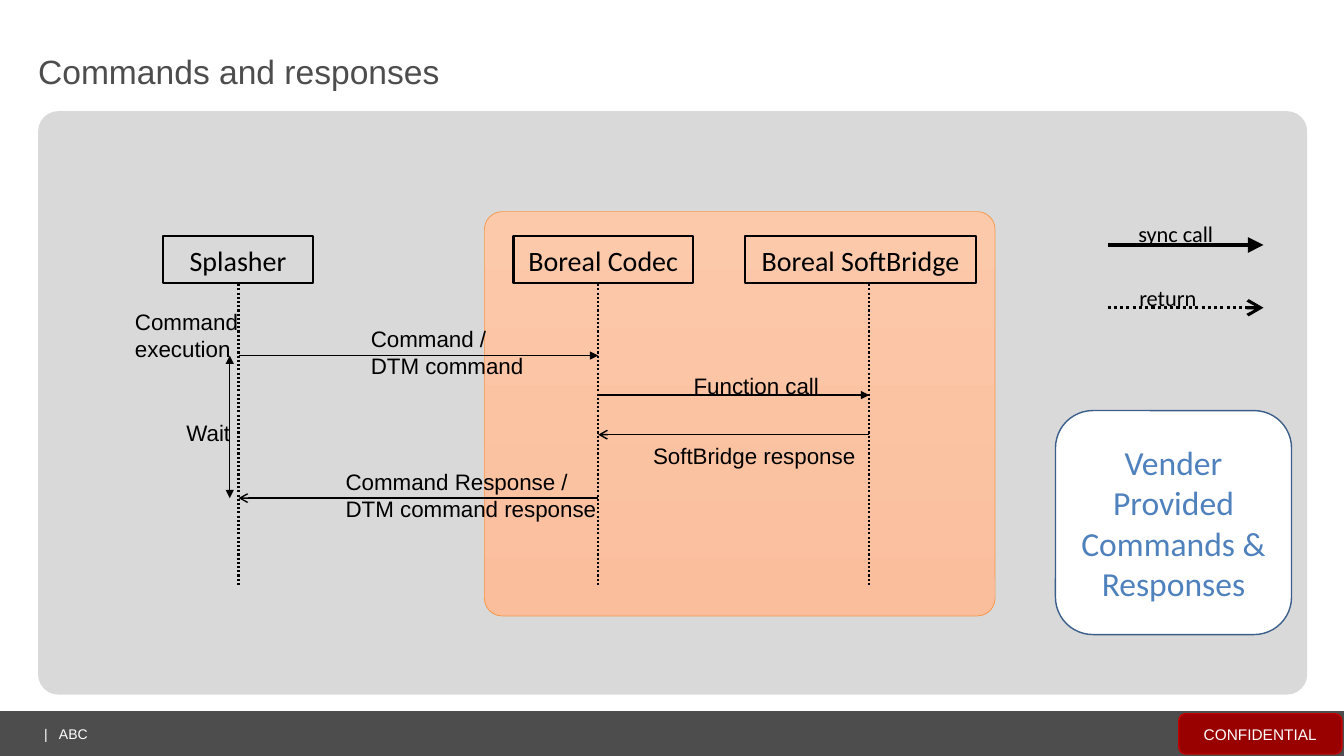
from lxml import etree
from pptx import Presentation
from pptx.dml.color import RGBColor
from pptx.enum.dml import MSO_LINE
from pptx.enum.shapes import MSO_CONNECTOR, MSO_SHAPE
from pptx.enum.text import MSO_ANCHOR, PP_ALIGN
from pptx.oxml.ns import qn
from pptx.util import Pt

RECT, ROUND = MSO_SHAPE.RECTANGLE, MSO_SHAPE.ROUNDED_RECTANGLE
STRAIGHT, DOTTED = MSO_CONNECTOR.STRAIGHT, MSO_LINE.ROUND_DOT
TOP, MIDDLE = MSO_ANCHOR.TOP, MSO_ANCHOR.MIDDLE
LEFT, CENTER = PP_ALIGN.LEFT, PP_ALIGN.CENTER

BLACK, WHITE, DARK, PANEL = "000000", "FFFFFF", "4D4D4D", "D9D9D9"
HOST_X, CODEC_X, DEVICE_X = 170.5, 427.5, 621.2
LIFELINE_TOP, LIFELINE_END = 203, 418.3
COMMAND_Y, CALL_Y, RETURN_Y, RESPONSE_Y = 254, 282.2, 310.5, 355.8
WAIT_X = 164.2


def rgb(value):
    return RGBColor.from_string(value)


def write(shape, lines, size, color, font="Arial", align=LEFT, anchor=TOP,
          inset=(0, 0), wrap=True):
    tf = shape.text_frame
    tf.word_wrap = wrap
    tf.vertical_anchor = anchor
    tf.margin_left = tf.margin_right = Pt(inset[0])
    tf.margin_top = tf.margin_bottom = Pt(inset[1])
    tf.text = "\n".join(lines)
    for p in tf.paragraphs:
        p.alignment = align
        p.font.size = Pt(size)
        p.font.name = font
        p.font.color.rgb = rgb(color)


def add_box(s, kind, box, fill=None, line=None, width=1, radius=None):
    """Add a rectangle; fill is None, one colour, or a (top, bottom) pair."""
    sp = s.shapes.add_shape(kind, *map(Pt, box))
    sp.shadow.inherit = False
    if radius is not None:
        sp.adjustments[0] = radius
    if fill is None:
        sp.fill.background()
    elif isinstance(fill, tuple):
        sp.fill.gradient()
        sp.fill.gradient_angle = 270
        for stop, color in zip(sp.fill.gradient_stops, fill):
            stop.color.rgb = rgb(color)
    else:
        sp.fill.solid()
        sp.fill.fore_color.rgb = rgb(fill)
    if line:
        sp.line.color.rgb = rgb(line)
        sp.line.width = Pt(width)
    else:
        sp.line.fill.background()
    return sp


def add_label(s, box, *lines, size=16, color=BLACK, **style):
    sp = s.shapes.add_textbox(*map(Pt, box))
    write(sp, lines, size, color, **style)
    return sp


def add_line(s, start, end, width=1, dash=None, head=None, tail=None, head_size="med"):
    c = s.shapes.add_connector(STRAIGHT, *map(Pt, start + end))
    c.line.color.rgb = rgb(BLACK)
    c.line.width = Pt(width)
    if dash:
        c.line.dash_style = dash
    ln = c.line._get_or_add_ln()
    for tag, kind in (("a:headEnd", head), ("a:tailEnd", tail)):
        if kind:
            etree.SubElement(ln, qn(tag), type=kind, w=head_size, len=head_size)
    etree.SubElement(c._element.spPr, qn("a:effectLst"))


def add_tab_stop(p, position):
    tabs = etree.Element(qn("a:tabLst"))
    etree.SubElement(tabs, qn("a:tab"), pos=str(Pt(position)), algn="l")
    p._p.get_or_add_pPr().insert(0, tabs)


def add_frame(s):
    """Add the title, the grey panel and the footer."""
    title = s.shapes.title
    title.left, title.top, title.width, title.height = map(Pt, (27.2, 22.3, 907, 57))
    write(title, ["Commands and responses"], 24, DARK, anchor=MIDDLE)
    add_box(s, RECT, (0, 508, 960.5, 32), DARK)
    badge = add_box(s, ROUND, (842.4, 509.8, 116.6, 28.8), "990000", "C00000")
    write(badge, ["CONFIDENTIAL"], 11, WHITE, align=CENTER, anchor=MIDDLE, inset=(7.2, 3.6))
    footer = add_label(s, (31.5, 513.4, 124, 21.6), "|\tABC", size=10, color=WHITE,
                       anchor=MIDDLE)
    add_tab_stop(footer.text_frame.paragraphs[0], 10.7)
    add_box(s, ROUND, (27.2, 79.4, 907, 416.8), PANEL, radius=0.035)


def add_participants(s):
    add_box(s, ROUND, (346.2, 151.2, 365, 288.8), ("FCC9AB", "FBBE9C"), "F79646", 0.5, 0.044)
    for name, left, width, x in (("Splasher", 116.5, 107.3, HOST_X),
                                 ("Boreal Codec", 367, 128.2, CODEC_X),
                                 ("Boreal SoftBridge", 532.2, 165.6, DEVICE_X)):
        sp = add_box(s, RECT, (left, 168.7, width, 33.8), line=BLACK, width=1.5)
        write(sp, [name], 20, BLACK, "Calibri", CENTER, MIDDLE, (3.6, 3.6))
        add_line(s, (x, LIFELINE_TOP), (x, LIFELINE_END), 1.5, DOTTED)


def add_messages(s):
    for x1, x2, y, tail in ((HOST_X, CODEC_X, COMMAND_Y, "triangle"),
                            (CODEC_X, DEVICE_X, CALL_Y, "triangle"),
                            (DEVICE_X, CODEC_X, RETURN_Y, "arrow"),
                            (CODEC_X, HOST_X, RESPONSE_Y, "arrow")):
        add_line(s, (x1, y), (x2, y), tail=tail)
    add_line(s, (WAIT_X, COMMAND_Y), (WAIT_X, RESPONSE_Y), 0.5,
             head="triangle", tail="triangle")
    for left, top, width, *lines in (
            (96.5, 220, 77, "Command", "execution"),
            (265, 232.5, 112, "Command /", "DTM command"),
            (495.7, 266, 93, "Function call"),
            (466.7, 316, 151, "SoftBridge response"),
            (247, 334.5, 182, "Command Response /", "DTM command response"),
            (133.2, 299.5, 34, "Wait")):
        add_label(s, (left, top, width, 19 * len(lines)), *lines, wrap=False)


def add_legend(s):
    for name, left, top, width, y, dash, tail in (
            ("sync call", 806.4, 153.4, 82.8, 175, None, "triangle"),
            ("return", 807.1, 199.4, 62.6, 219.8, DOTTED, "arrow")):
        add_line(s, (791.5, y), (903, y), 2.25, dash, tail=tail, head_size="lg")
        add_label(s, (left, top, width, 26), name, font="Calibri", inset=(7.2, 3.6), wrap=False)
    sp = add_box(s, ROUND, (754.3, 293.3, 168.7, 160), WHITE, "3A5F8B", 1, 0.167)
    write(sp, ["Vender Provided", "Commands &", "Responses"], 24, "4F81BD",
          "Calibri", CENTER, MIDDLE, (7.2, 3.6))


def main():
    prs = Presentation()
    prs.slide_width, prs.slide_height = Pt(960.5), Pt(540)
    s = prs.slides.add_slide(prs.slide_layouts[5])
    add_frame(s)
    add_participants(s)
    add_messages(s)
    add_legend(s)
    prs.save("out.pptx")


if __name__ == "__main__":
    main()
